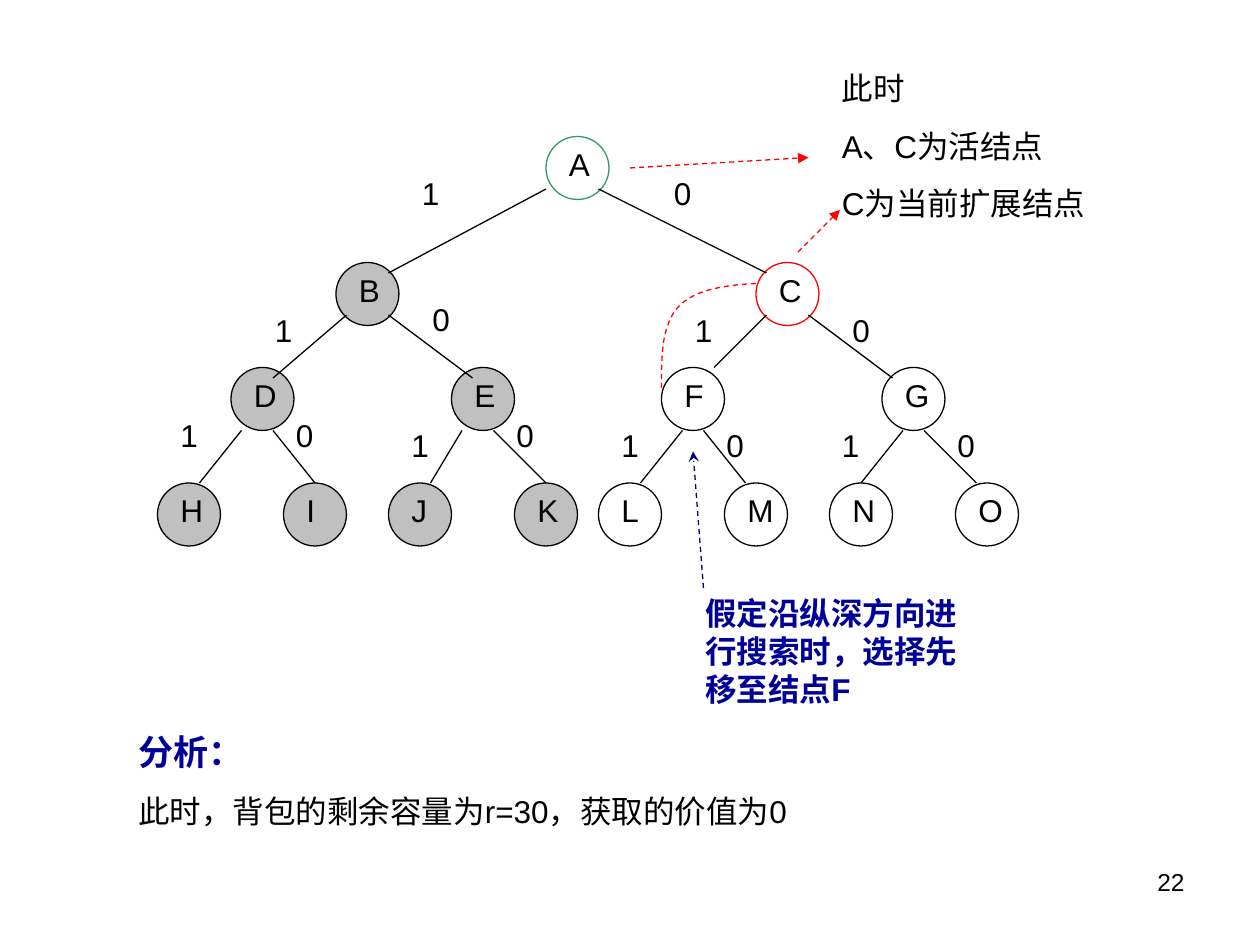
from dataclasses import dataclass

from lxml import etree
from pptx import Presentation
from pptx.dml.color import RGBColor
from pptx.enum.dml import MSO_LINE
from pptx.enum.shapes import MSO_CONNECTOR, MSO_SHAPE
from pptx.enum.text import MSO_AUTO_SIZE, PP_ALIGN
from pptx.oxml.ns import qn
from pptx.util import Cm, Pt

STRAIGHT = MSO_CONNECTOR.STRAIGHT
ELLIPSE = MSO_SHAPE.OVAL
DASH = MSO_LINE.DASH
GROW = MSO_AUTO_SIZE.SHAPE_TO_FIT_TEXT
LEFT, RIGHT = PP_ALIGN.LEFT, PP_ALIGN.RIGHT


@dataclass(frozen=True)
class Theme:
    font: str = "Arial"
    black: str = "000000"
    visited: str = "C0C0C0"
    live: str = "339966"
    current: str = "FF0000"
    note: str = "000099"
    pointer: str = "000080"
    body: float = 18
    heading: float = 20
    page_number: float = 14
    gap: float = 11.2
    line: float = 0.75


THEME = Theme()

# All places are counted in grid steps of a twelfth of an inch.
STEP = 2.54 / 12
NODE_SIZE = 6
LETTER_SIZE = (5, 4.8)

# Level top, then the left side of each node on that level.
LEVELS = [
    (13, {"A": 52}),
    (25, {"B": 32, "C": 72}),
    (35, {"D": 22, "E": 43, "F": 63, "G": 84}),
    (46, {"H": 15, "I": 27, "J": 37, "K": 49,
          "L": 57, "M": 69, "N": 79, "O": 91}),
]
VISITED = "BDEHIJK"
OUTLINES = {"A": THEME.live, "C": THEME.current}

# Branch start, branch end, label corner, label.
BRANCHES = [
    ((52, 18), (37, 26), (39, 16), "1"),
    ((57, 18), (73, 26), (63, 16), "0"),
    ((33, 30), (26, 36), (25, 29), "1"),
    ((37, 30), (45, 36), (40, 28), "0"),
    ((73, 30), (68, 35), (65, 29), "1"),
    ((77, 30), (85, 36), (80, 29), "0"),
    ((23, 41), (19, 46), (16, 39), "1"),
    ((26, 41), (30, 46), (27, 39), "0"),
    ((44, 41), (41, 46), (38, 40), "1"),
    ((47, 41), (52, 46), (48, 39), "0"),
    ((65, 41), (61, 46), (58, 40), "1"),
    ((67, 41), (71, 46), (68, 40), "0"),
    ((86, 41), (82, 46), (79, 40), "1"),
    ((88, 41), (93, 46), (90, 40), "0"),
]

# Bézier segments of the move from C to F.
MOVE_CURVE = [
    ((72, 27), (69.8, 27.1), (67.8, 27.4), (66.4, 28)),
    ((66.4, 28), (64.9, 28.7), (64.1, 29.5), (63.6, 31)),
    ((63.6, 31), (63, 32.5), (63, 34.8), (63, 37)),
]


def grid(*steps):
    return [Cm(step * STEP) for step in steps]


def color(value):
    return RGBColor.from_string(value)


def style_line(line, tint, dashed=False):
    line.color.rgb = color(tint)
    line.width = Pt(THEME.line)
    if dashed:
        line.dash_style = DASH


def write(paragraph, text, size=THEME.body, tint=THEME.black, bold=False,
          align=LEFT, before=0):
    paragraph.alignment = align
    paragraph.space_before = Pt(before)
    span = paragraph.add_run()
    span.text = text
    span.font.name = THEME.font
    span.font.size = Pt(size)
    span.font.bold = bold
    span.font.color.rgb = color(tint)


def add_text(shapes, place, *lines, **style):
    """Add a text box; each line is a text or a (text, own format) pair."""
    box = shapes.add_textbox(*grid(*place))
    frame = box.text_frame
    frame.word_wrap = True
    frame.auto_size = GROW
    for index, line in enumerate(lines):
        text, own = (line, {}) if isinstance(line, str) else line
        para = frame.add_paragraph() if index else frame.paragraphs[0]
        write(para, text, before=THEME.gap if index else 0, **{**style, **own})


def add_line(shapes, start, end, tint=THEME.black, dashed=False, head=None):
    line = shapes.add_connector(STRAIGHT, *grid(*start, *end))
    style_line(line.line, tint, dashed)
    if head:
        outline = line.line._get_or_add_ln()
        etree.SubElement(outline, qn("a:tailEnd"), type=head)
    etree.SubElement(line._element.spPr, qn("a:effectLst"))


def add_node(shapes, name, left, top):
    node = shapes.add_shape(ELLIPSE, *grid(left, top, NODE_SIZE, NODE_SIZE))
    node.shadow.inherit = False
    if name in VISITED:
        node.fill.solid()
        node.fill.fore_color.rgb = color(THEME.visited)
    else:
        node.fill.background()
    style_line(node.line, OUTLINES.get(name, THEME.black))
    add_text(shapes, (left + 1, top + 0.2, *LETTER_SIZE), name)


def bezier_point(segment, t):
    weights = ((1 - t) ** 3, 3 * t * (1 - t) ** 2, 3 * t ** 2 * (1 - t), t ** 3)
    return [sum(w * value for w, value in zip(weights, axis))
            for axis in zip(*segment)]


def add_curve(shapes, segments, tint, pieces=12):
    builder = shapes.build_freeform(*grid(*segments[0][0]))
    points = [grid(*bezier_point(segment, piece / pieces))
              for segment in segments for piece in range(1, pieces + 1)]
    builder.add_line_segments(points, close=False)
    curve = builder.convert_to_shape()
    curve.shadow.inherit = False
    curve.fill.background()
    style_line(curve.line, tint, dashed=True)


def add_tree(shapes):
    for top, nodes in LEVELS:
        for name, left in nodes.items():
            add_node(shapes, name, left, top)
    for start, end, _, _ in BRANCHES:
        add_line(shapes, start, end)
    for _, _, corner, label in BRANCHES:
        add_text(shapes, (*corner, *LETTER_SIZE), label)


def add_state_note(shapes):
    add_text(shapes, (79, 6, 29, 15.8),
             "此时", "A、C为活结点", "C为当前扩展结点")
    for start, end in (((60, 16), (77, 15)), ((76, 24), (80, 20))):
        add_line(shapes, start, end, THEME.current, True, "triangle")


def add_move_note(shapes):
    add_text(shapes, (66, 56, 28, 12),
             "假定沿纵深方向进行搜索时，选择先移至结点F",
             tint=THEME.note, bold=True)
    add_curve(shapes, MOVE_CURVE, THEME.current)
    add_line(shapes, (67, 56), (66, 43), THEME.pointer, True, "stealth")


def main():
    deck = Presentation()
    deck.slide_width, deck.slide_height = Cm(25.4), Cm(19.05)
    page = deck.slides.add_slide(deck.slide_layouts[6])
    shapes = page.shapes
    add_text(shapes, (86, 82, 28, 6.2), "22",
             size=THEME.page_number, align=RIGHT)
    add_tree(shapes)
    add_state_note(shapes.add_group_shape().shapes)
    heading = dict(size=THEME.heading, tint=THEME.note, bold=True)
    add_text(shapes, (12, 69, 78, 10.7), ("分析：", heading),
             "此时，背包的剩余容量为r=30，获取的价值为0")
    add_move_note(shapes.add_group_shape().shapes)
    deck.save("out.pptx")


if __name__ == "__main__":
    main()
